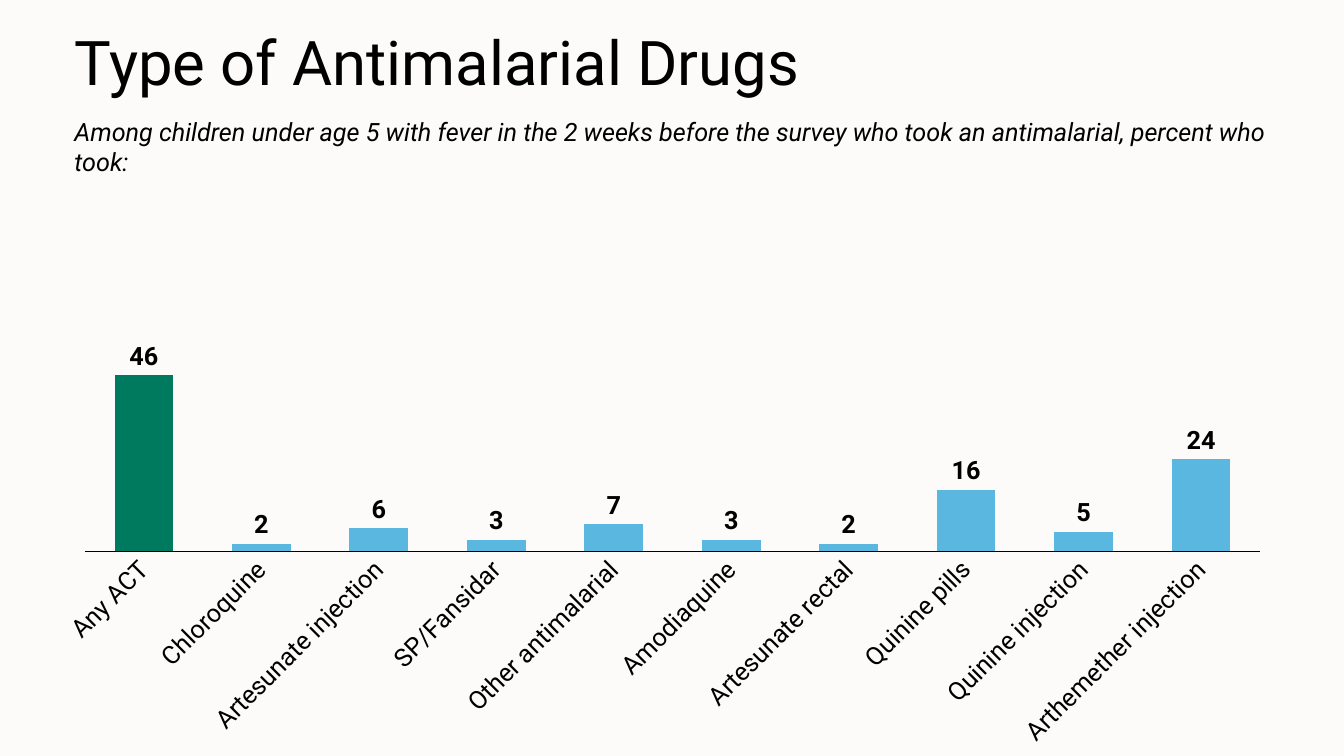
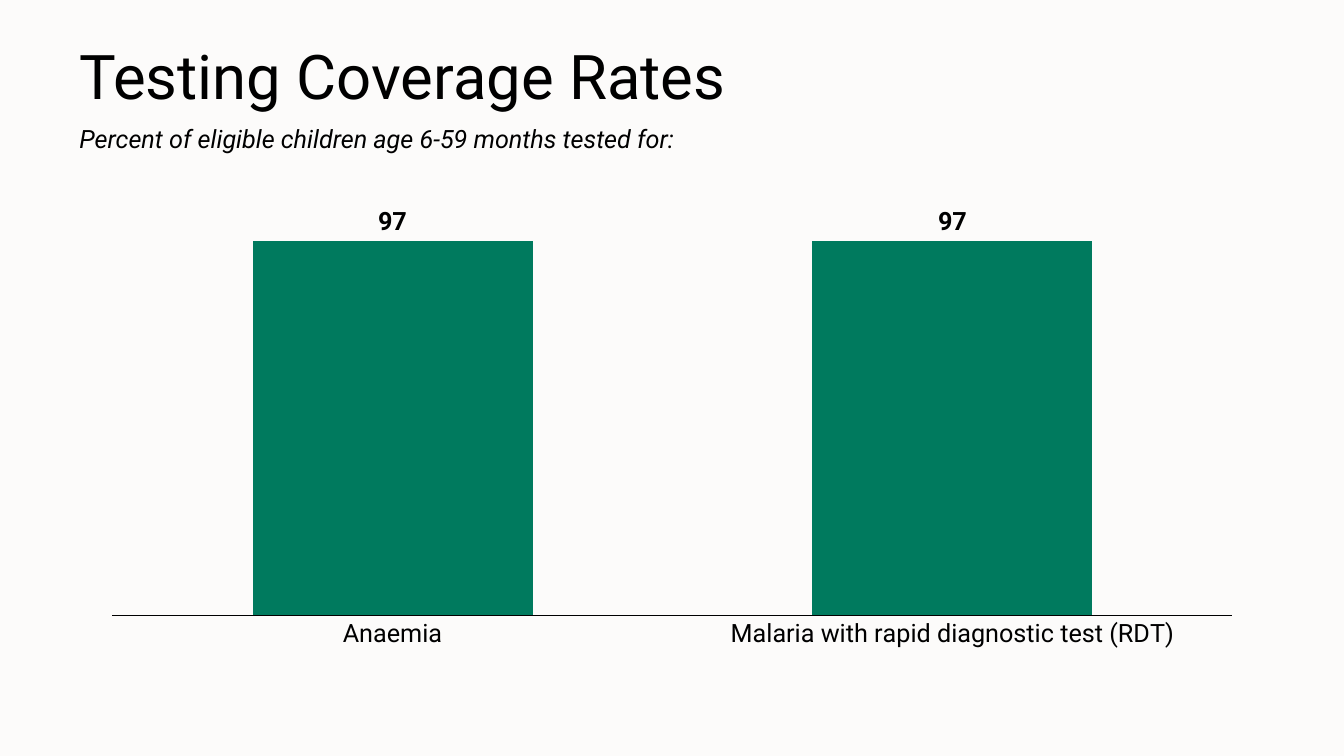
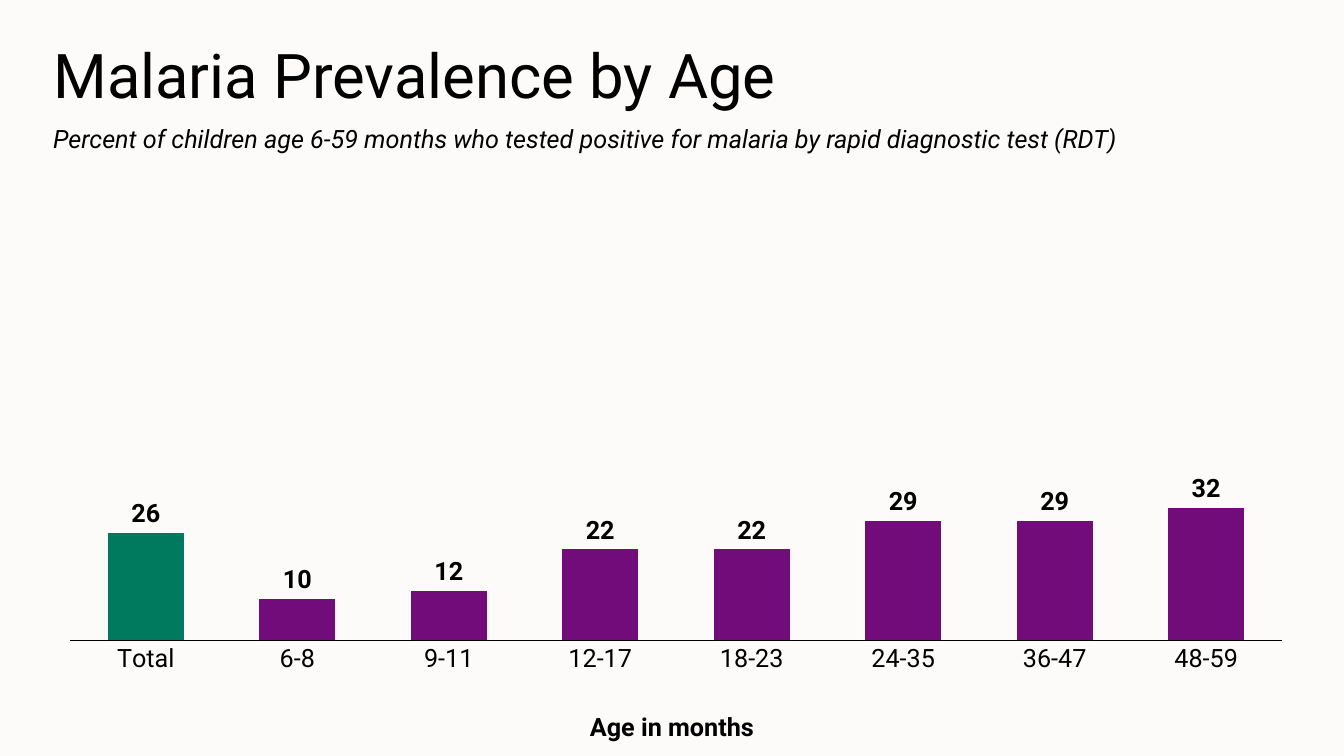
import pptx
import pptx.chart.data
import pptx.dml.color
import pptx.enum.chart
import pptx.enum.text
import pptx.oxml
import pptx.oxml.ns
import pptx.util

Inches = pptx.util.Inches
Pt = pptx.util.Pt
COLORS = {"paper": "FCFBFA", "ink": "000000", "green": "007A5E",
          "blue": "5AB7E0", "purple": "720C7A"}


class Deck:
    """Holds the shared style and the current slide of the survey deck."""

    font = "Roboto"
    title_size = 44
    body_size = 18

    def __init__(self):
        self.prs = pptx.Presentation()
        self.prs.slide_width = Inches(13.33)
        self.prs.slide_height = Inches(7.5)
        self.s = None

    def rgb(self, name):
        return pptx.dml.color.RGBColor.from_string(COLORS[name])

    def style(self, font, size, bold=False, italic=False):
        font.name = self.font
        font.size = Pt(size)
        font.bold = bold
        font.italic = italic
        font.color.rgb = self.rgb("ink")

    def slide(self):
        self.s = self.prs.slides.add_slide(self.prs.slide_layouts[6])
        fill = self.s.background.fill
        fill.solid()
        fill.fore_color.rgb = self.rgb("paper")

    def text(self, text, box, size=body_size, bold=False, italic=False):
        sp = self.s.shapes.add_textbox(*map(Inches, box))
        tf = sp.text_frame
        tf.word_wrap = True
        p = tf.paragraphs[0]
        p.text = text
        self.style(p.runs[0].font, size, bold, italic)
        return tf

    def title(self, text, box):
        tf = self.text(text, box, self.title_size)
        tf.vertical_anchor = pptx.enum.text.MSO_ANCHOR.MIDDLE
        tf.paragraphs[0].line_spacing = 0.9

    def subtitle(self, text, box):
        self.text(text, box, italic=True)

    def caption(self, text, box):
        tf = self.text(text, box, bold=True)
        tf.paragraphs[0].alignment = pptx.enum.text.PP_ALIGN.CENTER

    def columns(self, values, box, plot_box, colors, first_color=None, angle=0):
        data = pptx.chart.data.CategoryChartData()
        data.categories = list(values)
        for number, color in enumerate(colors, 1):
            data.add_series(f"Series {number}", list(values.values()) if number == 1 else [])
        kind = pptx.enum.chart.XL_CHART_TYPE.COLUMN_CLUSTERED
        chart = self.s.shapes.add_chart(kind, *map(Inches, box), data).chart
        chart.has_title = False
        chart.has_legend = False
        self.style(chart.font, 10)

        value_axis = chart.value_axis
        value_axis.visible = False
        value_axis.has_major_gridlines = False
        value_axis.minimum_scale = 0
        value_axis.maximum_scale = 100

        axis = chart.category_axis
        axis.major_tick_mark = pptx.enum.chart.XL_TICK_MARK.NONE
        axis.format.line.color.rgb = self.rgb("ink")
        axis.format.line.width = Pt(0.75)
        self.style(axis.tick_labels.font, self.body_size)
        body = chart.element.xpath(".//c:catAx/c:txPr/a:bodyPr")[0]
        body.set("rot", str(angle * 60000))

        plot = chart.plots[0]
        plot.gap_width = 100
        plot.overlap = 100
        plot.vary_by_categories = False
        plot.has_data_labels = True
        labels = plot.data_labels
        labels.show_value = True
        labels.position = pptx.enum.chart.XL_LABEL_POSITION.OUTSIDE_END
        self.style(labels.font, self.body_size, bold=True)

        for series, color in zip(plot.series, colors):
            self.paint(series, color)
        if first_color:
            self.paint(plot.series[0].points[0], first_color)
        self.place_plot(chart, plot_box)

    def paint(self, bar, color):
        bar.format.fill.solid()
        bar.format.fill.fore_color.rgb = self.rgb(color)

    def place_plot(self, chart, plot_box):
        ns = pptx.oxml.ns.nsdecls("c", "a")
        area = chart.element.xpath("c:chart/c:plotArea")[0]
        for old in area.xpath("c:layout"):
            area.remove(old)
        sizes = "".join(f'<c:{tag} val="{val}"/>' for tag, val in zip("xywh", plot_box))
        area.insert(0, pptx.oxml.parse_xml(
            f'<c:layout {ns}><c:manualLayout><c:layoutTarget val="inner"/>'
            f'<c:xMode val="edge"/><c:yMode val="edge"/>{sizes}'
            '</c:manualLayout></c:layout>'))
        chart.element.xpath("c:chart")[0].addnext(pptx.oxml.parse_xml(
            f'<c:spPr {ns}><a:noFill/><a:ln><a:noFill/></a:ln></c:spPr>'))


def main():
    deck = Deck()

    deck.slide()
    deck.title("Type of Antimalarial Drugs", (0.64, 0.13, 12.08, 1.04))
    drugs = {"Any ACT": 46, "Chloroquine": 2, "Artesunate injection": 6,
             "SP/Fansidar": 3, "Other antimalarial": 7, "Amodiaquine": 3,
             "Artesunate rectal": 2, "Quinine pills": 16,
             "Quinine injection": 5, "Arthemether injection": 24}
    deck.columns(drugs, (0.64, 1.58, 12.06, 5.92), (0.017, 0.016, 0.966, 0.641),
                 ["blue"], "green", angle=-45)
    deck.subtitle("Among children under age 5 with fever in the 2 weeks before the "
                  "survey who took an antimalarial, percent who took:",
                  (0.64, 1.1, 12.06, 0.4))

    deck.slide()
    deck.title("Testing Coverage Rates", (0.69, 0.4, 11.5, 0.77))
    tests = {"Anaemia": 97, "Malaria with rapid diagnostic test (RDT)": 97}
    deck.columns(tests, (0.92, 2, 11.5, 4.76), (0.017, 0.058, 0.966, 0.804), ["green"])
    deck.subtitle("Percent of eligible children age 6-59 months tested for:",
                  (0.69, 1.17, 12.03, 0.4))

    deck.slide()
    deck.title("Malaria Prevalence by Age", (0.43, 0.27, 11.5, 1.01))
    ages = {"Total": 26, "6-8": 10, "9-11": 12, "12-17": 22, "18-23": 22,
            "24-35": 29, "36-47": 29, "48-59": 32}
    deck.columns(ages, (0.69, 1.91, 12.03, 5.2), (0, 0.068, 1, 0.786),
                 ["purple", "blue"], "green")
    deck.subtitle("Percent of children age 6-59 months who tested positive for "
                  "malaria by rapid diagnostic test (RDT)", (0.43, 1.17, 12.03, 0.4))
    deck.caption("Age in months", (4.91, 7.01, 3.51, 0.4))

    deck.prs.save("out.pptx")


if __name__ == "__main__":
    main()
